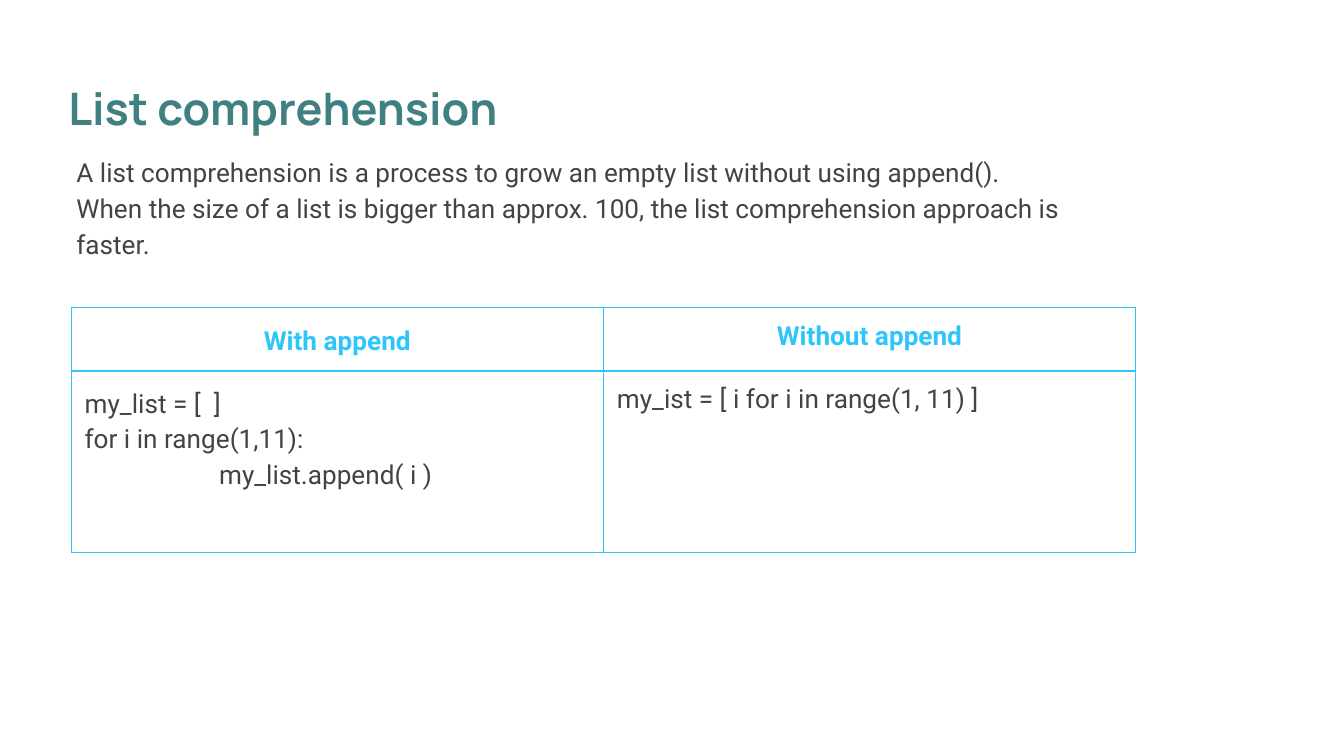
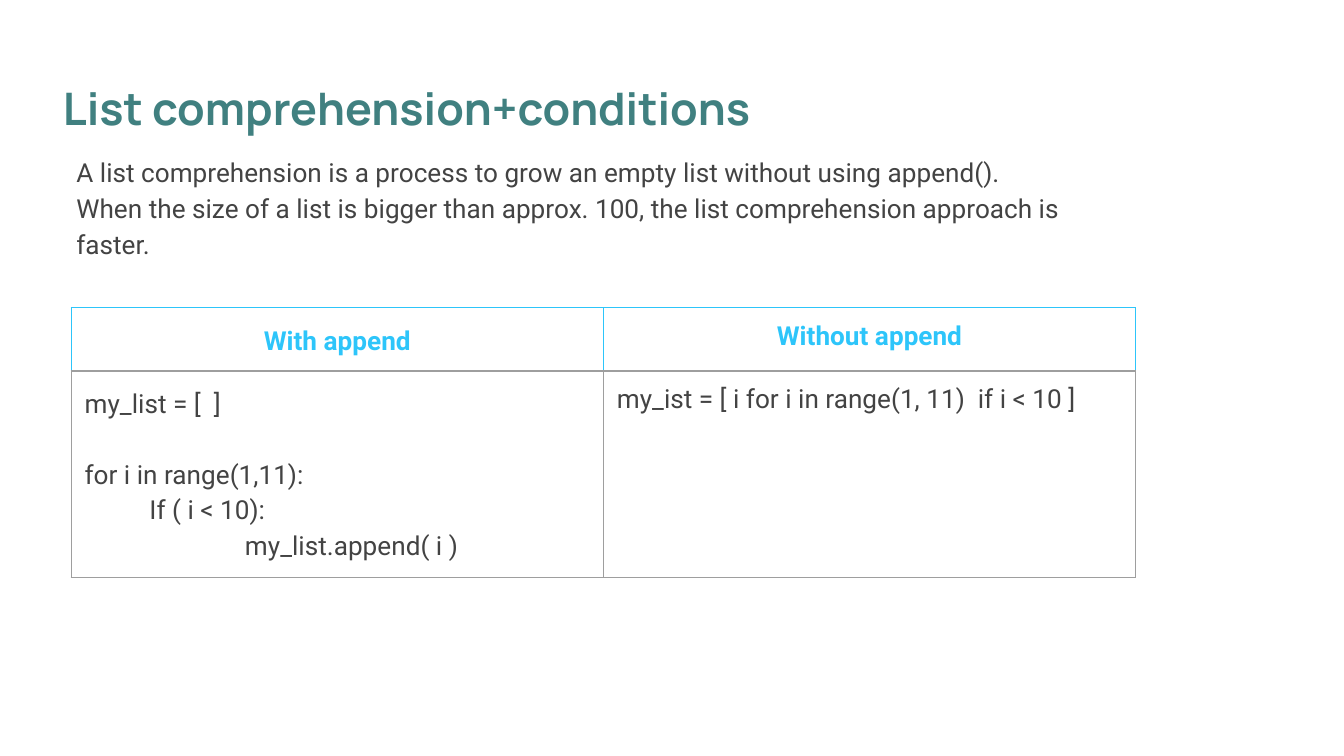
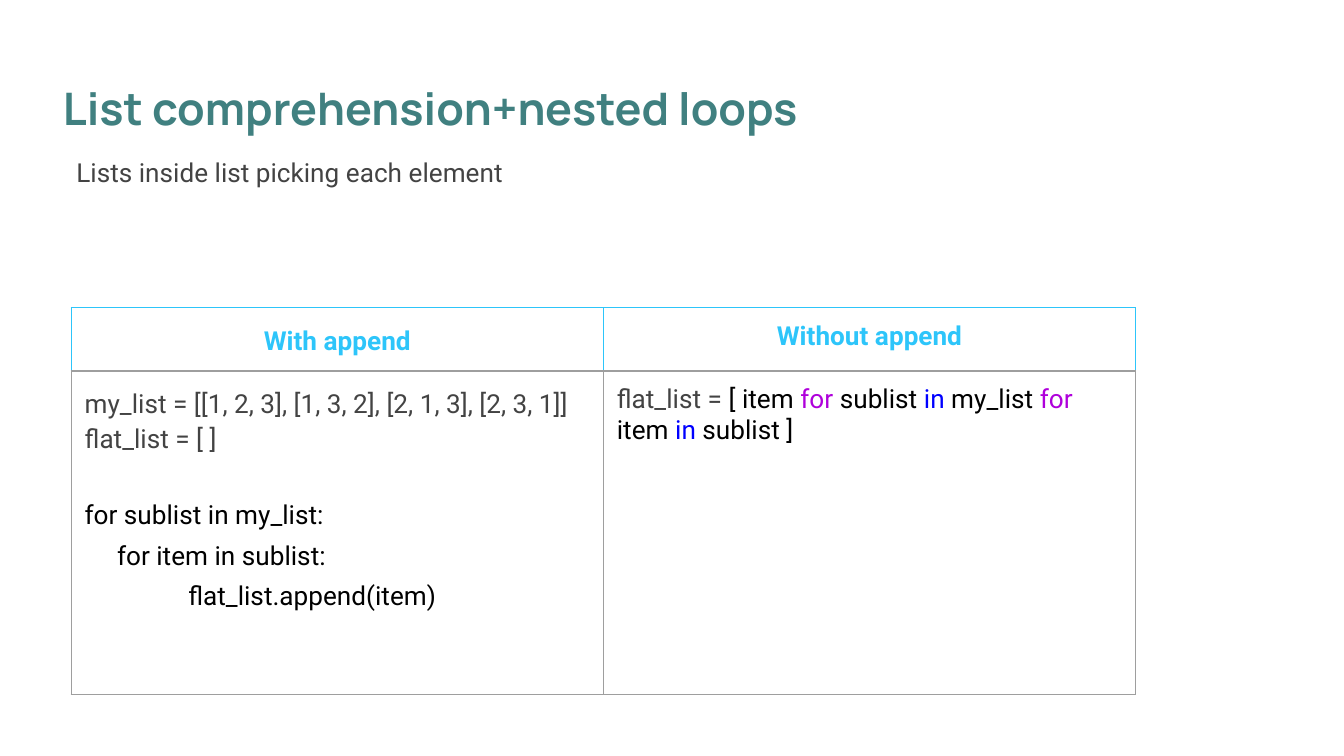
from dataclasses import dataclass

from lxml.etree import SubElement
from pptx import Presentation
from pptx.dml.color import RGBColor
from pptx.enum.text import PP_ALIGN
from pptx.oxml.ns import qn
from pptx.util import Inches, Pt


@dataclass(frozen=True)
class Theme:
    teal: str = "408080"
    cyan: str = "2DC5FA"
    body: str = "434343"
    rule: str = "9E9E9E"
    code: str = "000000"
    keyword: str = "AF00DB"
    operator: str = "0000FF"
    title_font: str = "Manrope"
    text_font: str = "Roboto"
    title_size: int = 24
    text_size: int = 14
    title_spacing: float = 1.3
    text_spacing: float = 1.15
    code_spacing: float = 1.31
    blank_line: int = 19
    border: float = 0.75


THEME = Theme()


@dataclass(frozen=True)
class Line:
    runs: object
    color: str = THEME.body
    spacing: float = THEME.text_spacing
    before: int = 0
    indent: float = 0


DEFINITION = [
    "A list comprehension is a process to grow an empty list without using append().",
    "When the size of a list is bigger than approx. 100, the list comprehension approach is faster.",
]
HEADINGS = [("With append", THEME.text_spacing), ("Without append", None)]
LESSONS = [
    {
        "title": "List comprehension",
        "title_box": (0.41, 0.38, 9.32, 0.63),
        "intro": DEFINITION,
        "intro_height": 0.98,
        "with_append": [
            Line("my_list = [  ]"),
            Line("for i in range(1,11):"),
            Line("\tmy_list.append( i )", indent=0.5),
        ],
        "without_append": "my_ist = [ i for i in range(1, 11) ]",
        "code_height": 1.35,
        "code_border": THEME.cyan,
    },
    {
        "title": "List comprehension+conditions",
        "title_box": (0.37, 0.38, 9.08, 0.61),
        "intro": DEFINITION,
        "intro_height": 0.98,
        "with_append": [
            Line("my_list = [  ]"),
            Line("for i in range(1,11):", before=THEME.blank_line),
            Line("          If ( i < 10):"),
            Line("\t    my_list.append( i )", indent=0.5),
        ],
        "without_append": "my_ist = [ i for i in range(1, 11)  if i < 10 ]",
        "code_height": 1.54,
        "code_border": THEME.rule,
    },
    {
        "title": "List comprehension+nested loops",
        "title_box": (0.37, 0.38, 9.08, 0.61),
        "intro": ["Lists inside list picking each element"],
        "intro_height": 0.44,
        "with_append": [
            Line("my_list = [[1, 2, 3], [1, 3, 2], [2, 1, 3], [2, 3, 1]]"),
            Line("flat_list = [ ]"),
            Line("for sublist in my_list:", THEME.code, THEME.code_spacing, THEME.blank_line),
            Line("     for item in sublist:", THEME.code, THEME.code_spacing),
            Line("                flat_list.append(item)", THEME.code, THEME.code_spacing),
        ],
        "without_append": [
            ("flat_list = ", THEME.body),
            ("[ item ", THEME.code),
            ("for", THEME.keyword),
            (" sublist ", THEME.code),
            ("in", THEME.operator),
            (" my_list ", THEME.code),
            ("for", THEME.keyword),
            (" item ", THEME.code),
            ("in", THEME.operator),
            (" sublist ]", THEME.code),
        ],
        "code_height": 2.41,
        "code_border": THEME.rule,
    },
]

SLIDE_WIDTH = Inches(10)
SLIDE_HEIGHT = SLIDE_WIDTH * 9 // 16
TABLE_LEFT, TABLE_TOP = 0.53, 2.29
COLUMN_WIDTH, HEADING_HEIGHT = 3.96, 0.47
INSET = 0.1


def write(holder, lines, font=THEME.text_font, size=THEME.text_size, bold=False, align=None):
    holder.margin_left = holder.margin_right = Inches(INSET)
    holder.margin_top = holder.margin_bottom = Inches(INSET)
    frame = getattr(holder, "text_frame", holder)
    frame.word_wrap = True
    for index, line in enumerate(lines):
        paragraph = frame.add_paragraph() if index else frame.paragraphs[0]
        paragraph.alignment = align
        paragraph.line_spacing = line.spacing
        if line.before:
            paragraph.space_before = Pt(line.before)
        if line.indent:
            properties = paragraph._p.get_or_add_pPr()
            properties.set("marL", "0")
            properties.set("indent", str(Inches(line.indent)))
        runs = [(line.runs, line.color)] if isinstance(line.runs, str) else line.runs
        for text, color in runs:
            run = paragraph.add_run()
            run.text = text
            run.font.name = font
            run.font.size = Pt(size)
            run.font.bold = bold
            run.font.color.rgb = RGBColor.from_string(color)


def add_text(slide, box, lines, **style):
    area = slide.shapes.add_textbox(*map(Inches, box))
    write(area.text_frame, lines, **style)


def outline(cell, color, bottom):
    properties = cell._tc.get_or_add_tcPr()
    for side in "LRTB":
        edge = SubElement(properties, qn(f"a:ln{side}"), w=str(Pt(THEME.border)))
        fill = SubElement(edge, qn("a:solidFill"))
        SubElement(fill, qn("a:srgbClr"), val=bottom if side == "B" else color)
    cell.fill.background()


def add_comparison(slide, lesson):
    heights = [HEADING_HEIGHT, lesson["code_height"]]
    box = (TABLE_LEFT, TABLE_TOP, COLUMN_WIDTH * len(HEADINGS), sum(heights))
    table = slide.shapes.add_table(len(heights), len(HEADINGS), *map(Inches, box)).table
    table.first_row = table.horz_banding = False
    for row, height in zip(table.rows, heights):
        row.height = Inches(height)
    code = [lesson["with_append"], [Line(lesson["without_append"], spacing=None)]]
    border = lesson["code_border"]
    for column, (heading, spacing) in enumerate(HEADINGS):
        table.columns[column].width = Inches(COLUMN_WIDTH)
        top, bottom = table.cell(0, column), table.cell(1, column)
        write(top, [Line(heading, THEME.cyan, spacing)], bold=True, align=PP_ALIGN.CENTER)
        write(bottom, code[column])
        outline(top, THEME.cyan, border)
        outline(bottom, border, border)


def add_lesson(deck, lesson):
    slide = deck.slides.add_slide(deck.slide_layouts[6])
    title = Line(lesson["title"], THEME.teal, THEME.title_spacing)
    add_text(slide, lesson["title_box"], [title],
             font=THEME.title_font, size=THEME.title_size, bold=True)
    add_text(slide, (0.47, 1.03, 8.03, lesson["intro_height"]),
             [Line(sentence) for sentence in lesson["intro"]])
    add_comparison(slide, lesson)


def main():
    deck = Presentation()
    deck.slide_width, deck.slide_height = SLIDE_WIDTH, SLIDE_HEIGHT
    for lesson in LESSONS:
        add_lesson(deck, lesson)
    deck.save("out.pptx")


if __name__ == "__main__":
    main()
